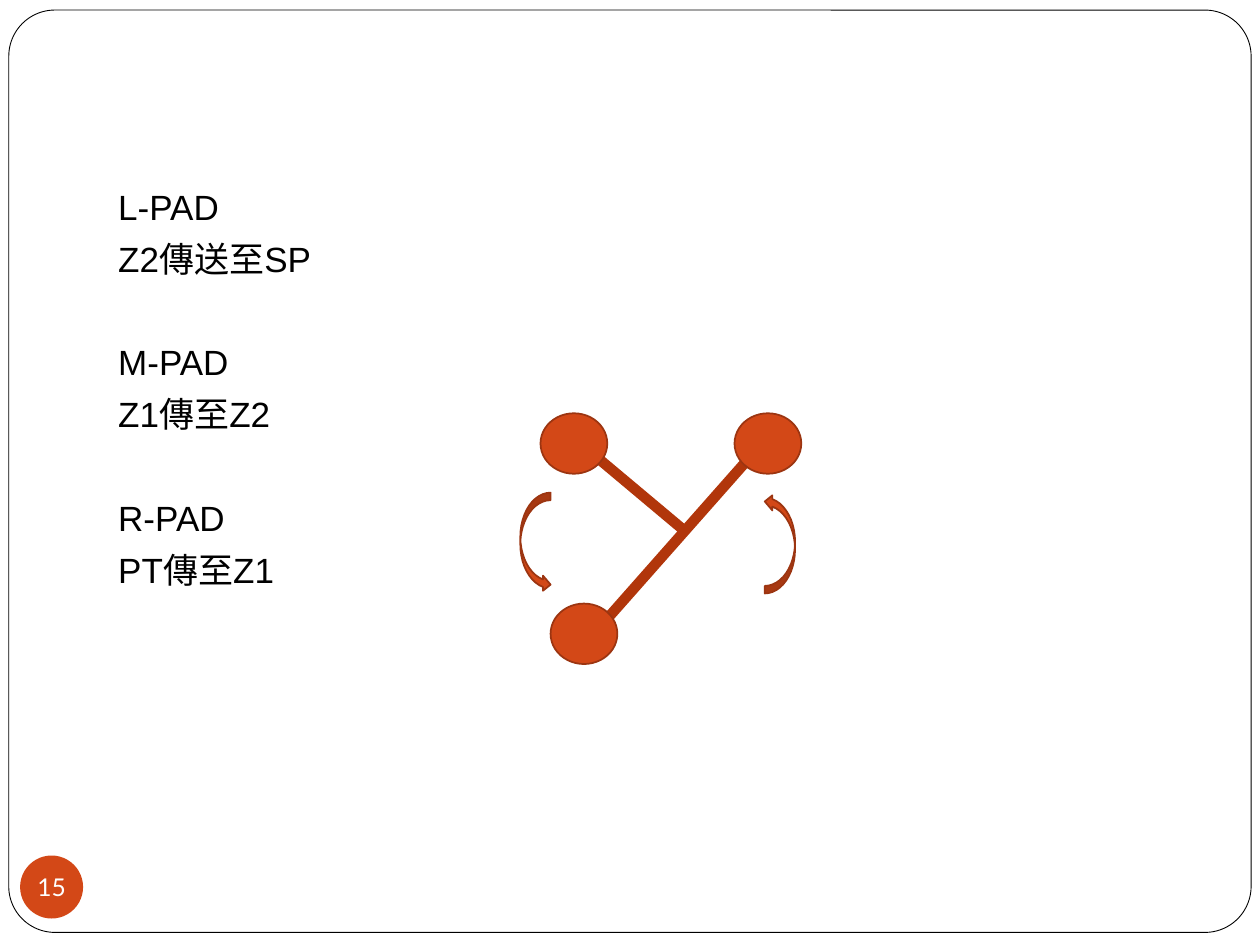
import pptx
import pptx.dml.color
import pptx.enum.shapes
import pptx.enum.text
import pptx.oxml
import pptx.util
from pptx.util import Inches

COLORS = {
    "paper": "FFFFFF",
    "ink": "000000",
    "orange": "D34817",
    "outline": "9C3511",
    "arm": "B1360B",
}
PADS = [
    ("L-PAD", "Z2傳送至SP"),
    ("M-PAD", "Z1傳至Z2"),
    ("R-PAD", "PT傳至Z1"),
]
PAGE_NUMBER = "15"
LINE_GAP, PAD_GAP = 5.8, 35
ARMS = [((4.82, 4.91), (6.03, 3.54)), ((4.75, 3.64), (5.43, 4.21))]
PAD_SPOTS = [(4.37, 4.79), (4.29, 3.28), (5.83, 3.28)]
PAD_SIZE = (0.53, 0.48)
TURN_ARROWS = [((4.13, 3.91), 0), ((6.07, 3.92), 180)]
ARROW_SIZE = (0.24, 0.79)

SHAPES = pptx.enum.shapes.MSO_SHAPE
ALIGN = pptx.enum.text.PP_ALIGN
ANCHOR = pptx.enum.text.MSO_ANCHOR


def color(name):
    return pptx.dml.color.RGBColor.from_string(COLORS[name])


def add_figure(page, kind, spot, size, fill="orange", line="outline", width=1):
    shape = page.shapes.add_shape(kind, *map(Inches, spot + size))
    shape.shadow.inherit = False
    shape.fill.solid()
    shape.fill.fore_color.rgb = color(fill)
    if line:
        shape.line.color.rgb = color(line)
        shape.line.width = pptx.util.Pt(width)
    else:
        shape.line.fill.background()
    return shape


def add_arm(page, start, end):
    arm = page.shapes.add_connector(
        pptx.enum.shapes.MSO_CONNECTOR.STRAIGHT, *map(Inches, start + end))
    arm.line.color.rgb = color("arm")
    arm.line.width = pptx.util.Pt(6)
    properties = arm._element.spPr
    properties.append(properties.makeelement(pptx.oxml.ns.qn("a:effectLst"), {}))


def write(para, text, size=20, font="Arial", ink="ink", before=0, align=ALIGN.LEFT):
    para.alignment = align
    para.space_before = pptx.util.Pt(before)
    span = para.add_run()
    span.text = text
    span.font.size = pptx.util.Pt(size)
    span.font.name = font
    span.font.color.rgb = color(ink)


def add_pad_notes(page):
    box = page.shapes.add_textbox(*map(Inches, (0.84, 1.42, 8.5, 5)))
    frame = box.text_frame
    frame.word_wrap = True
    for index, (pad, transfer) in enumerate(PADS):
        heading = frame.add_paragraph() if index else frame.paragraphs[0]
        write(heading, pad, before=PAD_GAP if index else 0)
        write(frame.add_paragraph(), transfer, before=LINE_GAP)


def add_page_number(page):
    badge = add_figure(page, SHAPES.OVAL, (0.16, 6.79), (0.5, 0.5), line=None)
    frame = badge.text_frame
    frame.margin_left = frame.margin_right = 0
    frame.margin_top = frame.margin_bottom = 0
    frame.word_wrap = False
    frame.vertical_anchor = ANCHOR.MIDDLE
    write(frame.paragraphs[0], PAGE_NUMBER, size=14, font="Lato",
          ink="paper", align=ALIGN.CENTER)


def main():
    deck = pptx.Presentation()
    deck.slide_width, deck.slide_height = Inches(10), Inches(7.5)
    page = deck.slides.add_slide(deck.slide_layouts[6])

    border = add_figure(page, SHAPES.ROUNDED_RECTANGLE, (0.07, 0.08), (9.86, 7.32),
                        fill="paper", line="ink", width=0.5)
    border.adjustments[0] = 0.05
    add_pad_notes(page)
    add_page_number(page)

    for start, end in ARMS:
        add_arm(page, start, end)
    for spot in PAD_SPOTS:
        add_figure(page, SHAPES.OVAL, spot, PAD_SIZE)
    for spot, turn in TURN_ARROWS:
        arrow = add_figure(page, SHAPES.CURVED_RIGHT_ARROW, spot, ARROW_SIZE)
        arrow.rotation = turn

    deck.save("out.pptx")


if __name__ == "__main__":
    main()
